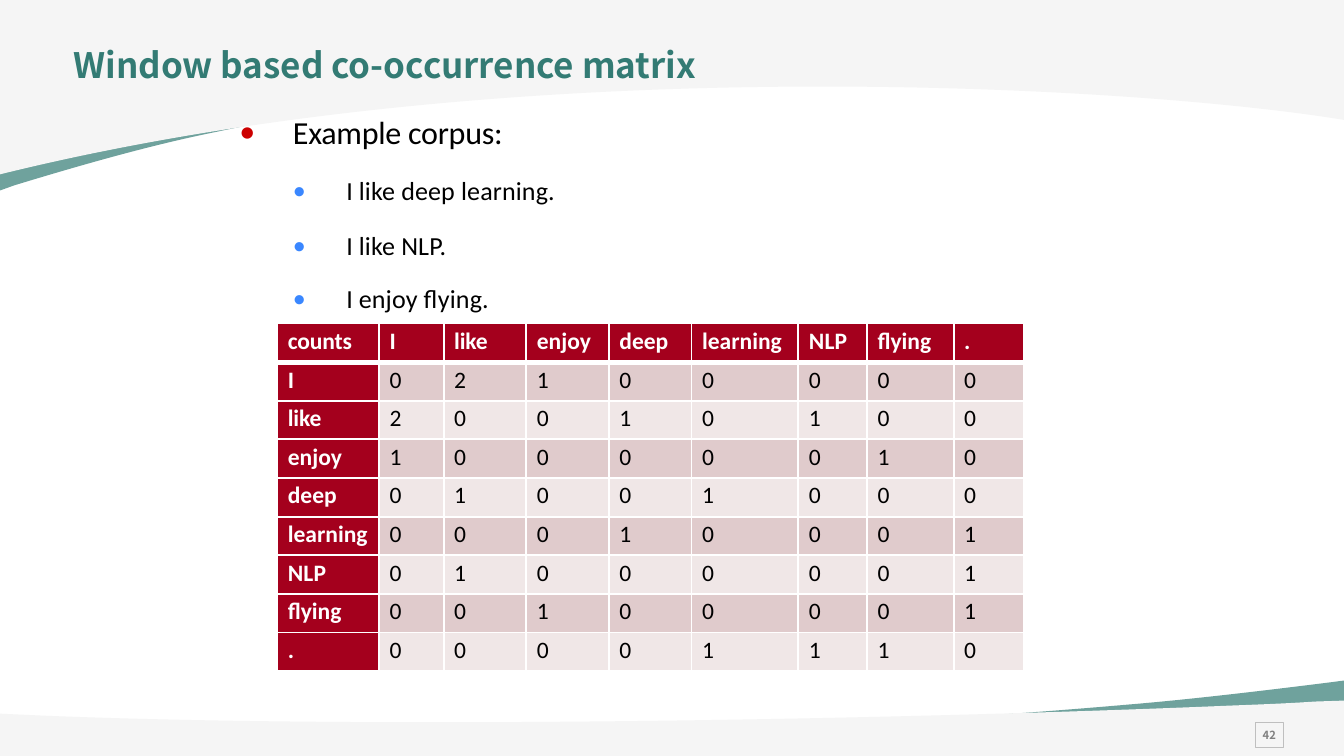
"""Builds the slide on the window based co-occurrence matrix."""
from dataclasses import dataclass
from typing import NamedTuple

from lxml.etree import SubElement
from pptx import Presentation
from pptx.dml.color import RGBColor
from pptx.enum.shapes import MSO_SHAPE
from pptx.enum.text import MSO_ANCHOR, PP_ALIGN
from pptx.oxml.ns import qn
from pptx.util import Inches, Pt

COLORS = {
    "paper": "FFFFFF", "teal": "337B74", "mist": "F5F5F5", "ink": "000000",
    "frame": "BFBFBF", "number": "808080", "crimson": "A4001D",
    "rose": "E0CBCC", "blush": "F0E7E7", "red": "CC0000", "blue": "3A87FF",
}
HEADING_FONT, BODY_FONT = "Noto Sans CJK SC", "Calibri"
COLUMNS, ROWS = 133.3, 75


class Point(NamedTuple):
    column: float
    row: float


class Area(NamedTuple):
    column: float
    row: float
    columns: float
    rows: float


@dataclass
class Wave:
    color: str
    start: Point
    segments: list
    opacity: int = 100


@dataclass
class Style:
    size: float
    color: str
    font: str = BODY_FONT
    bold: bool = False


@dataclass
class Bullet:
    pieces: list
    level: int
    size: float
    color: str
    before: float
    indent: float


WAVES = [
    Wave("teal", Point(0, 18.9), [
        [(0, 2.2)], [(133.4, 2.2)], [(133.4, 9.1)], [(133.3, 9.1)],
        [(103.2, 0.6), (51.4, 6.7), (21.4, 13.1)],
        [(15.4, 14.3), (8.6, 16.2), (1.4, 18.4)]], 70),
    Wave("mist", Point(0, 0), [
        [(133.3, 0)], [(133.3, 11.9)],
        [(114, 8.7), (51.7, 4.5), (0, 17.3)]]),
    Wave("teal", Point(133.4, 67.5), [
        [(133.4, 74.4)], [(0, 74.4)], [(0, 71.5)], [(0.1, 71.6)],
        [(30.1, 75), (82, 72.5), (111.9, 69.9)],
        [(117.9, 69.4), (124.7, 68.6), (131.9, 67.7)]], 70),
    Wave("mist", Point(133.4, 69.5), [
        [(133.4, 75)], [(0, 75)], [(0, 70.8)], [(4.4, 71)],
        [(39.2, 72.4), (91, 71.3), (122, 70)],
        [(124.6, 69.9), (127.5, 69.8), (130.4, 69.6)]]),
]
CORPUS = [Bullet([("Example corpus:", -0.2)], 0, 22.9, "red", 0, 5.5)] + [
    Bullet([("I ", 0), (rest, 0.1)], 1, 18.6, "blue", before, 10.8)
    for rest, before in (("like deep learning.", 16.8),
                         ("like NLP.", 16.8),
                         ("enjoy flying.", 15.8))]
WORDS = ["I", "like", "enjoy", "deep", "learning", "NLP", "flying", "."]
WORD_TRACKING = {"counts": -0.1, "like": -0.1, "NLP": 0.1}
COUNTS = ["02100000", "20010100", "10000010", "01001000",
          "00010001", "01000001", "00100001", "00001110"]
WORD_COLUMNS = [10.1, 6.4, 8.2, 8.2, 8.2, 10.6, 6.8, 8.6, 7]
MATRIX_AREA = Area(27.5, 32.1, sum(WORD_COLUMNS), 34.5)


def grid(cells: float) -> int:
    return Inches(cells / 10)


def rgb(name: str) -> RGBColor:
    return RGBColor.from_string(COLORS[name])


def draw_wave(slide, wave: Wave) -> None:
    builder = slide.shapes.build_freeform(*map(grid, wave.start))
    builder.add_line_segments(
        [tuple(map(grid, segment[-1])) for segment in wave.segments], close=True)
    band = builder.convert_to_shape()
    bend(band, wave.segments)
    band.shadow.inherit = False
    band.fill.solid()
    band.fill.fore_color.rgb = rgb(wave.color)
    band.line.fill.background()
    if wave.opacity < 100:
        tint = band._element.spPr.find(".//" + qn("a:srgbClr"))
        SubElement(tint, qn("a:alpha"), val=str(wave.opacity * 1000))


def bend(band, segments: list) -> None:
    sides = band._element.spPr.findall(".//" + qn("a:lnTo"))
    for side, segment in zip(sides, segments):
        if len(segment) == 3:
            arc = SubElement(side.getparent(), qn("a:cubicBezTo"))
            for column, row in segment:
                SubElement(arc, qn("a:pt"), x=str(grid(column) - band.left),
                           y=str(grid(row) - band.top))
            side.getparent().replace(side, arc)


def write(paragraph, text: str, style: Style, tracking: float = 0) -> None:
    run = paragraph.add_run()
    run.text = text
    run.font.name = style.font
    run.font.size = Pt(style.size)
    run.font.bold = style.bold
    run.font.color.rgb = rgb(style.color)
    if tracking:
        run._r.get_or_add_rPr().set("spc", str(round(tracking * 100)))


def set_margins(frame, left: float, top: float, right: float, bottom: float) -> None:
    frame.margin_left, frame.margin_top = grid(left), grid(top)
    frame.margin_right, frame.margin_bottom = grid(right), grid(bottom)


def add_text_frame(slide, area: Area):
    frame = slide.shapes.add_textbox(*map(grid, area)).text_frame
    frame.word_wrap = True
    set_margins(frame, 0, 0.1, 0, 0)
    return frame


def draw_corpus(slide) -> None:
    frame = add_text_frame(slide, Area(23.55, 11.1, 48.9, 20.3))
    for index, bullet in enumerate(CORPUS):
        paragraph = frame.add_paragraph() if index else frame.paragraphs[0]
        paragraph.level = bullet.level
        paragraph.space_before = Pt(bullet.before)
        properties = paragraph._p.get_or_add_pPr()
        properties.set("marL", str(grid(bullet.indent)))
        properties.set("indent", str(grid(-5.3)))
        color = SubElement(properties, qn("a:buClr"))
        SubElement(color, qn("a:srgbClr"), val=COLORS[bullet.color])
        SubElement(properties, qn("a:buFont"), typeface=BODY_FONT)
        SubElement(properties, qn("a:buChar"), char="•")
        for text, tracking in bullet.pieces:
            write(paragraph, text, Style(bullet.size, "ink"), tracking)


def draw_page_number(slide) -> None:
    badge = slide.shapes.add_shape(MSO_SHAPE.RECTANGLE,
                                   *map(grid, Area(124.5, 71.7, 2.8, 2.5)))
    badge.shadow.inherit = False
    badge.fill.background()
    badge.line.color.rgb = rgb("frame")
    badge.line.width = Pt(0.75)
    frame = badge.text_frame
    frame.word_wrap = False
    frame.vertical_anchor = MSO_ANCHOR.MIDDLE
    set_margins(frame, 0.8, 0.8, 0.8, 0.8)
    frame.paragraphs[0].alignment = PP_ALIGN.CENTER
    write(frame.paragraphs[0], "42", Style(8, "number", HEADING_FONT, True))


def add_borders(cell, row: int) -> None:
    widths = {"a:lnL": 1.5, "a:lnR": 1.5, "a:lnT": 4.25 if row == 1 else 1.5,
              "a:lnB": 4.25 if row == 0 else 1.5}
    properties = cell._tc.get_or_add_tcPr()
    for position, (side, width) in enumerate(widths.items()):
        border = SubElement(properties, qn(side), w=str(Pt(width)))
        fill = SubElement(border, qn("a:solidFill"))
        SubElement(fill, qn("a:srgbClr"), val=COLORS["paper"])
        properties.insert(position, border)


def draw_matrix(slide) -> None:
    lines = [["counts", *WORDS]]
    lines += [[word, *counts] for word, counts in zip(WORDS, COUNTS)]
    matrix = slide.shapes.add_table(len(lines), len(WORD_COLUMNS),
                                    *map(grid, MATRIX_AREA)).table
    for column, width in zip(matrix.columns, WORD_COLUMNS):
        column.width = grid(width)
    for row, line in enumerate(lines):
        matrix.rows[row].height = grid(MATRIX_AREA.rows / len(lines))
        for column, text in enumerate(line):
            heading = row == 0 or column == 0
            cell = matrix.cell(row, column)
            set_margins(cell, 1.05, 0.35, 0, 0)
            cell.fill.solid()
            cell.fill.fore_color.rgb = rgb(
                "crimson" if heading else "rose" if row % 2 else "blush")
            add_borders(cell, row)
            write(cell.text_frame.paragraphs[0], text,
                  Style(16.8, "paper" if heading else "ink", bold=heading),
                  WORD_TRACKING.get(text, 0))


def main() -> None:
    deck = Presentation()
    deck.slide_width, deck.slide_height = grid(COLUMNS), grid(ROWS)
    slide = deck.slides.add_slide(deck.slide_layouts[6])
    for wave in WAVES:
        draw_wave(slide, wave)
    draw_page_number(slide)
    title = add_text_frame(slide, Area(7.3, 4.2, 101, 4.3))
    write(title.paragraphs[0], "Window based co-occurrence matrix",
          Style(25, "teal", HEADING_FONT, True))
    draw_corpus(slide)
    draw_matrix(slide)
    deck.save("out.pptx")


if __name__ == "__main__":
    main()
